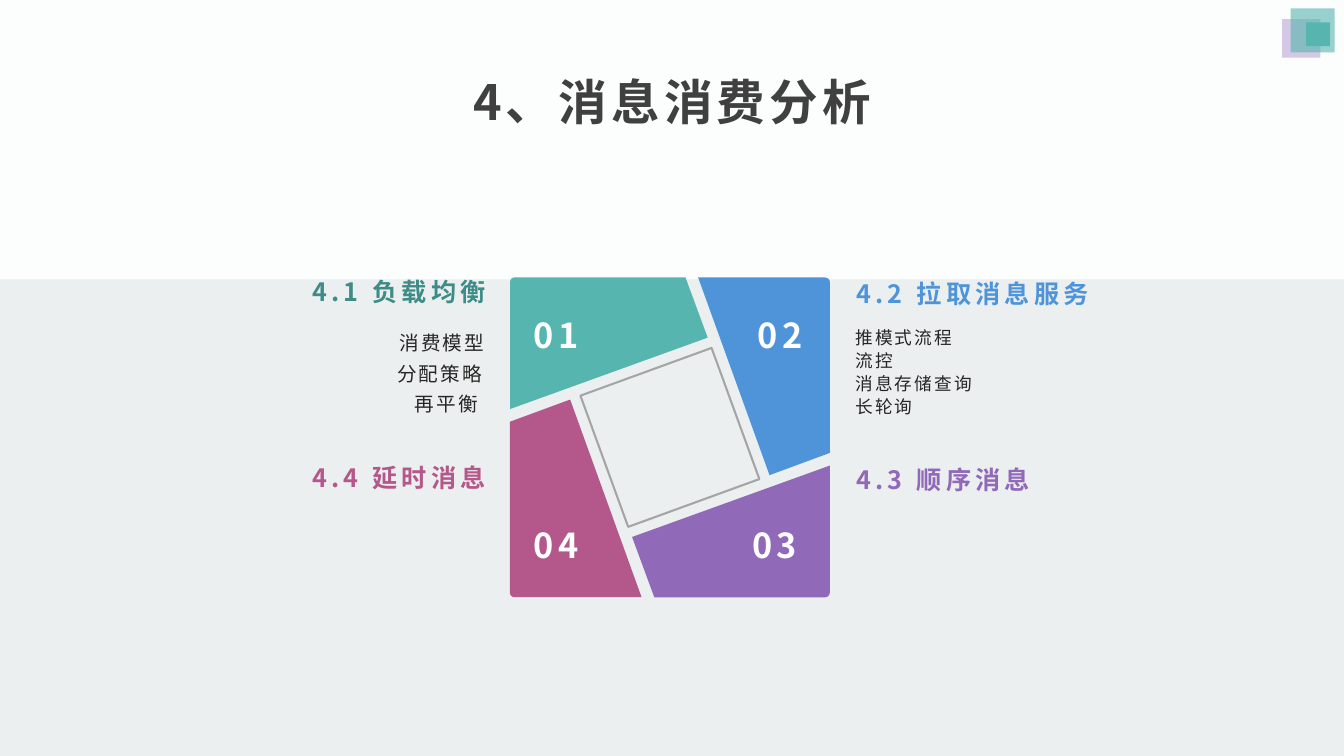
from dataclasses import dataclass

from lxml.etree import SubElement
from pptx import Presentation
from pptx.dml.color import RGBColor
from pptx.enum.shapes import MSO_SHAPE
from pptx.enum.text import MSO_ANCHOR, PP_ALIGN
from pptx.oxml.ns import qn
from pptx.shapes.autoshape import Shape
from pptx.shapes.shapetree import GroupShapes, SlideShapes
from pptx.text.text import _Paragraph as Paragraph
from pptx.util import Pt

FONT = "Noto Sans CJK SC"
PAPER = RGBColor(0xFC, 0xFD, 0xFD)
MIST = RGBColor(0xEC, 0xEF, 0xEF)
LILAC = RGBColor(0xBC, 0xA5, 0xD4)
TEAL = RGBColor(0x57, 0xB5, 0xAF)
DARK_TEAL = RGBColor(0x3D, 0x8C, 0x87)
BLUE = RGBColor(0x4F, 0x94, 0xD9)
PURPLE = RGBColor(0x90, 0x69, 0xB8)
MAGENTA = RGBColor(0xB4, 0x57, 0x8A)
CHARCOAL = RGBColor(0x40, 0x40, 0x40)
INK = RGBColor(0x26, 0x26, 0x26)
WHITE = RGBColor(0xFF, 0xFF, 0xFF)
BLACK = RGBColor(0, 0, 0)

Point = tuple[float, float]
Box = tuple[float, float, float, float]
LEFT, CENTER, RIGHT = PP_ALIGN.LEFT, PP_ALIGN.CENTER, PP_ALIGN.RIGHT

PINWHEEL_CENTER: Point = (478.5, 312.4)
# First tile, relative to the centre; the others are quarter turns of it.
TILE: list[Point] = [
    (-114.2, -111), (-113.9, -112.3), (-113.2, -113.3), (-112.2, -114), (-110.9, -114.3),
    (11.1, -114.3), (27, -71.2), (-114.2, -20.2),
]
SQUARE_CORNER: Point = (29.8, -63.9)


@dataclass(frozen=True)
class TextStyle:
    size: float
    color: RGBColor
    bold: bool = True
    tracking: float = 3
    line_spacing: float = 1


@dataclass(frozen=True)
class TextBlock:
    box: Box
    lines: tuple[str, ...]
    style: TextStyle
    align: PP_ALIGN = LEFT
    anchor: MSO_ANCHOR = MSO_ANCHOR.MIDDLE


@dataclass(frozen=True)
class Square:
    box: Box
    color: RGBColor
    opacity: int = 100


def heading(left: float, top: float, text: str, color: RGBColor, align: PP_ALIGN) -> TextBlock:
    return TextBlock((left, top, 268, 36), (text,), TextStyle(18, color, line_spacing=1.3), align)


def number(left: float, top: float, text: str) -> TextBlock:
    return TextBlock((left, top, 52.6, 49.7), (text,), TextStyle(24.5, WHITE), CENTER)


CORNER_SQUARES = [
    Square((915.8, 13.7, 27.4, 27.4), LILAC, 60),
    Square((921.8, 6, 31.5, 31.5), TEAL, 61),
    Square((933, 16, 16.9, 17), TEAL),
]
TITLE = TextBlock((36, 48, 888, 50), ("4、消息消费分析",), TextStyle(34.7, CHARCOAL),
                  CENTER, MSO_ANCHOR.TOP)
TOPICS = [
    TextBlock((142, 224, 211, 80.6), ("消费模型", "分配策略\n再平衡 "),
              TextStyle(14, INK, False, 1.5, 1.3), RIGHT),
    heading(86.2, 187.2, "4.1 负载均衡", DARK_TEAL, RIGHT),
    TextBlock((604, 224.6, 213, 80.6), ("推模式流程", "流控", "消息存储查询", "长轮询"),
              TextStyle(12.6, INK, False, 1.5, 1.1)),
    heading(604.5, 188.5, "4.2 拉取消息服务", BLUE, LEFT),
    heading(86.2, 319.7, "4.4 延时消息", MAGENTA, RIGHT),
    heading(604.5, 321.1, "4.3 顺序消息", PURPLE, LEFT),
]
NUMBERS = [
    number(371, 214, "01"),
    number(371, 364, "04"),
    number(531, 214, "02"),
    number(527, 364, "03"),
]


def set_opacity(shape: Shape, percent: int) -> None:
    """Apply opacity to the only colour used in the shape's fill or line."""
    color = shape.element.spPr.find(".//" + qn("a:srgbClr"))
    SubElement(color, qn("a:alpha")).set("val", str(percent * 1000))


def paint(shape: Shape, color: RGBColor) -> None:
    shape.shadow.inherit = False
    shape.fill.solid()
    shape.fill.fore_color.rgb = color
    shape.line.fill.background()


def add_rectangle(shapes: SlideShapes | GroupShapes, square: Square) -> None:
    shape = shapes.add_shape(MSO_SHAPE.RECTANGLE, *map(Pt, square.box))
    paint(shape, square.color)
    if square.opacity < 100:
        set_opacity(shape, square.opacity)


def add_run(paragraph: Paragraph, text: str, style: TextStyle) -> None:
    run = paragraph.add_run()
    run.text = text
    run.font.size = Pt(style.size)
    run.font.bold = style.bold
    run.font.color.rgb = style.color
    run.font.name = FONT
    properties = run._r.get_or_add_rPr()
    properties.set("spc", str(round(style.tracking * 100)))
    SubElement(properties, qn("a:ea")).set("typeface", FONT)


def add_text(shapes: SlideShapes, block: TextBlock) -> None:
    frame = shapes.add_textbox(*map(Pt, block.box)).text_frame
    frame.word_wrap = True
    frame.vertical_anchor = block.anchor
    for index, line in enumerate(block.lines):
        paragraph = frame.add_paragraph() if index else frame.paragraphs[0]
        paragraph.alignment = block.align
        paragraph.line_spacing = block.style.line_spacing
        for part_index, part in enumerate(line.split("\n")):
            if part_index:
                paragraph.add_line_break()
            add_run(paragraph, part, block.style)


def quarter_turn(point: Point, turns: int) -> Point:
    """Rotate a point clockwise about the origin."""
    x, y = point
    for _ in range(turns):
        x, y = -y, x
    return x, y


def add_outline(shapes: SlideShapes, points: list[Point]) -> Shape:
    """Draw a closed outline given relative to the pinwheel centre."""
    center_x, center_y = PINWHEEL_CENTER
    placed = [(Pt(center_x + x), Pt(center_y + y)) for x, y in points]
    builder = shapes.build_freeform(*placed[0])
    builder.add_line_segments(placed[1:], close=True)
    return builder.convert_to_shape()


def add_pinwheel(shapes: SlideShapes) -> None:
    for turns, color in enumerate((TEAL, BLUE, PURPLE, MAGENTA)):
        paint(add_outline(shapes, [quarter_turn(point, turns) for point in TILE]), color)
    square = add_outline(shapes, [quarter_turn(SQUARE_CORNER, turns) for turns in range(4)])
    square.shadow.inherit = False
    square.fill.background()
    square.line.color.rgb = BLACK
    square.line.width = Pt(1.5)
    set_opacity(square, 30)


def main() -> None:
    presentation = Presentation()
    presentation.slide_width, presentation.slide_height = Pt(960), Pt(540)
    slide = presentation.slides.add_slide(presentation.slide_layouts[6])
    slide.background.fill.solid()
    slide.background.fill.fore_color.rgb = PAPER
    shapes = slide.shapes

    add_rectangle(shapes, Square((0, 199.5, 960, 340.5), MIST))
    corner = shapes.add_group_shape()
    for square in CORNER_SQUARES:
        add_rectangle(corner.shapes, square)
    for block in [TITLE, *TOPICS]:
        add_text(shapes, block)
    add_pinwheel(shapes)
    for block in NUMBERS:
        add_text(shapes, block)
    presentation.save("out.pptx")


if __name__ == "__main__":
    main()
